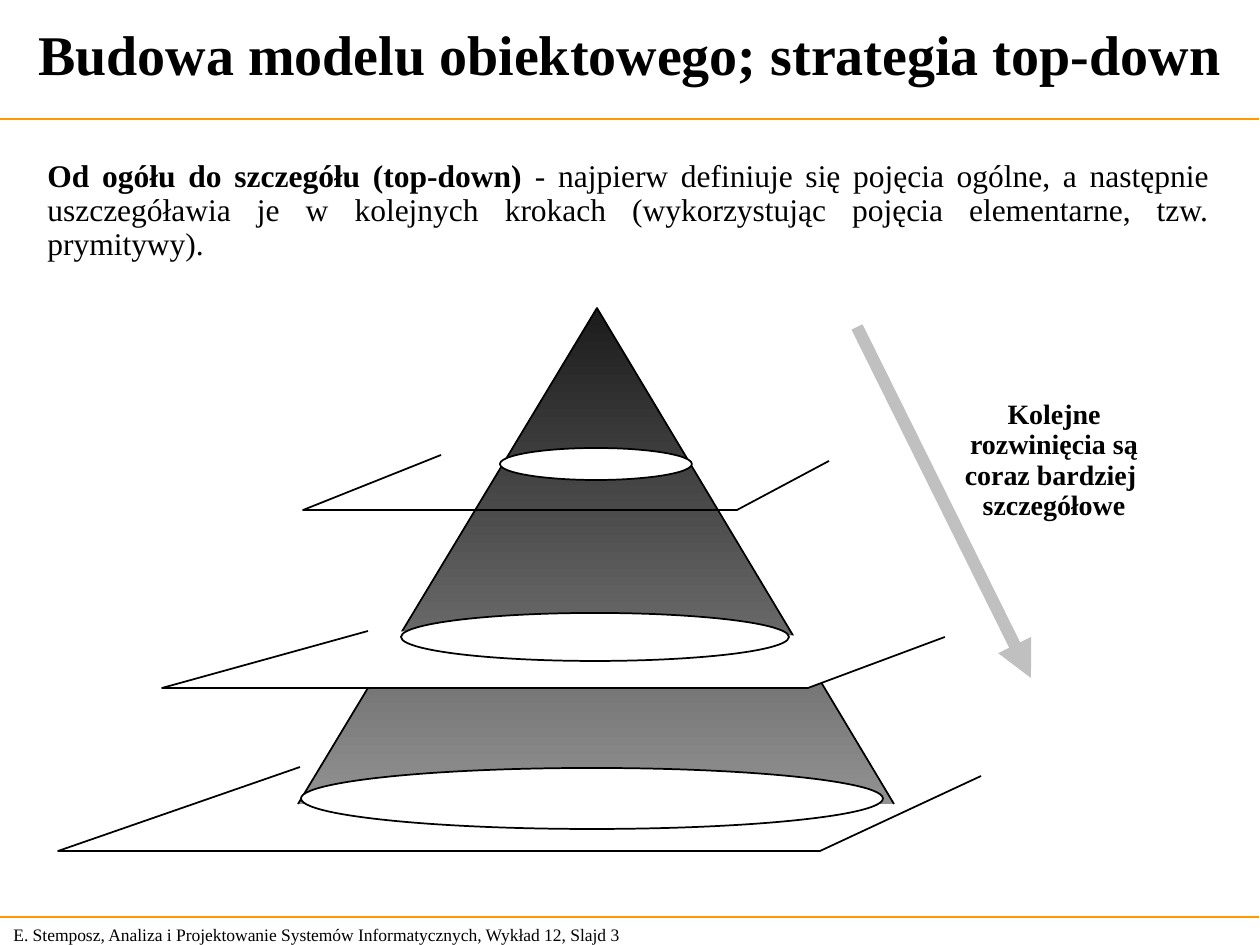
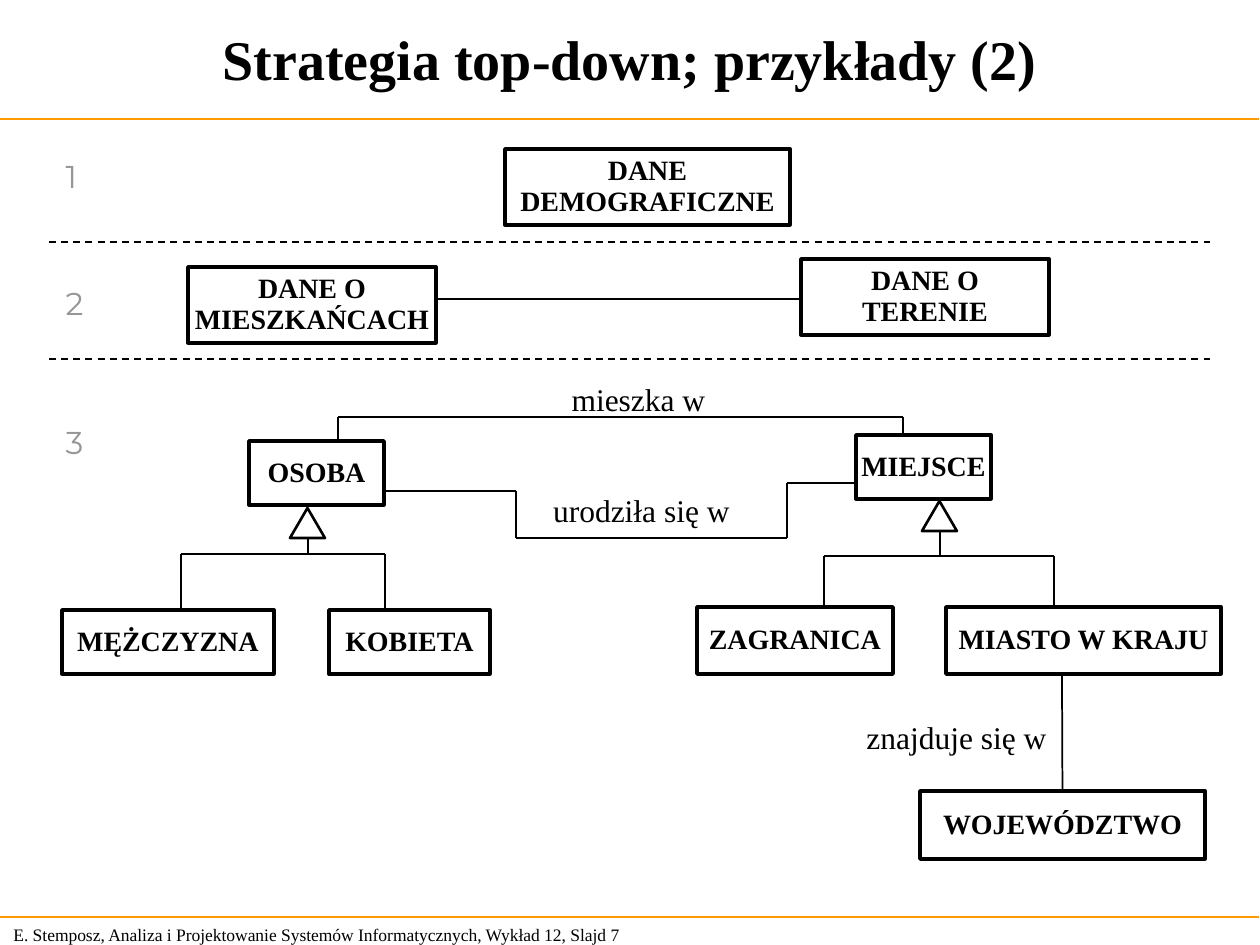
from typing import NamedTuple

from lxml import etree
from pptx import Presentation
from pptx.dml.color import RGBColor
from pptx.enum.dml import MSO_LINE
from pptx.enum.shapes import MSO_CONNECTOR, MSO_SHAPE
from pptx.enum.text import MSO_ANCHOR, MSO_AUTO_SIZE, PP_ALIGN
from pptx.oxml.ns import qn
from pptx.util import Pt

PX = 914400 / 126
WIDE, HIGH = 1260, 945

LEFT, CENTER, JUSTIFY = PP_ALIGN.LEFT, PP_ALIGN.CENTER, PP_ALIGN.JUSTIFY
TOP, MIDDLE = MSO_ANCHOR.TOP, MSO_ANCHOR.MIDDLE
RECT, OVAL = MSO_SHAPE.RECTANGLE, MSO_SHAPE.OVAL
DIAMOND, TRIANGLE = MSO_SHAPE.DIAMOND, MSO_SHAPE.ISOSCELES_TRIANGLE
STRAIGHT, DASH, NO_FIT = MSO_CONNECTOR.STRAIGHT, MSO_LINE.DASH, MSO_AUTO_SIZE.NONE

COLORS = {
    "ink": "000000",
    "paper": "FFFFFF",
    "rule": "FF9900",
    "arrow": "C0C0C0",
    "level": "969696",
    "tip": "1C1C1C",
    "base": "919191",
}


class Box(NamedTuple):
    x: int
    y: int
    w: int
    h: int


class Style(NamedTuple):
    size: int
    bold: bool = False
    align: PP_ALIGN = CENTER
    anchor: MSO_ANCHOR = MIDDLE
    space: float = 0.9
    font: str = "Times New Roman"
    color: str = "ink"
    wrap: bool = False


class Node(NamedTuple):
    text: str
    box: Box


class Plane(NamedTuple):
    points: list[tuple[int, int]]
    fill: str | None


TITLE = Style(32, bold=True, space=1, wrap=True)
FOOTER = Style(10, align=LEFT, space=1, wrap=True)
BODY = Style(18, bold=True, align=JUSTIFY, anchor=TOP, wrap=True)
LABEL = Style(16, bold=True)
LINK = Style(18)
LEVEL = Style(18, align=LEFT, anchor=TOP, space=1, font="Montserrat", color="level")

BOTTOM = Plane([(300, 767), (58, 851), (820, 851), (981, 776)], "paper")
CONE = [(298, 804), (597, 308), (894, 804)]
UPPER = [
    Plane([(368, 631), (162, 688), (808, 688), (945, 637)], "paper"),
    Plane([(441, 455), (303, 510), (737, 510), (829, 461)], None),
]
CUTS = [Box(301, 768, 582, 61), Box(401, 613, 388, 48), Box(500, 448, 192, 32)]

NODES = [
    Node("DANE\nDEMOGRAFICZNE", Box(505, 149, 285, 76)),
    Node("DANE O\nMIESZKAŃCACH", Box(188, 267, 248, 76)),
    Node("DANE O\nTERENIE", Box(801, 259, 248, 76)),
    Node("OSOBA", Box(249, 441, 135, 64)),
    Node("MIEJSCE", Box(856, 435, 135, 64)),
    Node("MĘŻCZYZNA", Box(62, 610, 212, 64)),
    Node("KOBIETA", Box(329, 610, 161, 64)),
    Node("ZAGRANICA", Box(697, 607, 196, 67)),
    Node("MIASTO W KRAJU", Box(946, 607, 275, 67)),
    Node("WOJEWÓDZTWO", Box(920, 791, 285, 68)),
]
NAMES = [
    Node("mieszka w", Box(559, 358, 159, 86)),
    Node("urodziła się w", Box(562, 469, 159, 86)),
]
ROUTES = [
    [(799, 299), (437, 299)],
    [(338, 440), (338, 417), (903, 417), (903, 434)],
    [(384, 491), (516, 491), (516, 538), (787, 538), (787, 483), (856, 483)],
    [(181, 609), (181, 554), (385, 554), (385, 610)],
    [(308, 554), (308, 508)],
    [(824, 607), (824, 556), (1054, 556), (1054, 607)],
    [(940, 556), (940, 498)],
]
HEADS = [Box(290, 508, 35, 30), Box(922, 501, 35, 30)]
LEVELS = [151, 278, 417]
DIVIDERS = [242, 359]


def emu(*sizes: int) -> list[int]:
    return [round(size * PX) for size in sizes]


def paint(name: str) -> RGBColor:
    return RGBColor.from_string(COLORS[name])


def stroke(line, color: str = "ink", width: float = 1) -> None:
    line.color.rgb = paint(color)
    line.width = Pt(width)


def format_run(run, style: Style) -> None:
    font = run.font
    font.size, font.bold, font.name = Pt(style.size), style.bold, style.font
    font.color.rgb = paint(style.color)


def write(shape, text: str, style: Style):
    frame = shape.text_frame
    frame.text = text
    frame.auto_size = NO_FIT
    frame.word_wrap = style.wrap
    frame.vertical_anchor = style.anchor
    for para in frame.paragraphs:
        para.alignment, para.line_spacing = style.align, style.space
        for run in para.runs:
            format_run(run, style)
    return shape


def add_text(slide, text: str, box: Box, style: Style):
    return write(slide.shapes.add_textbox(*emu(*box)), text, style)


def add_form(slide, kind, box: Box, fill: str | None = None, width: float = 0):
    """Add a preset shape; no fill name or no width leaves that part out."""
    shape = slide.shapes.add_shape(kind, *emu(*box))
    finish(shape, fill, width)
    return shape


def finish(shape, fill: str | None, width: float) -> None:
    shape.shadow.inherit = False
    if fill:
        shape.fill.solid()
        shape.fill.fore_color.rgb = paint(fill)
    else:
        shape.fill.background()
    if width:
        stroke(shape.line, width=width)
    else:
        shape.line.fill.background()


def add_path(slide, points: list[tuple[int, int]], fill: str | None):
    pen = slide.shapes.build_freeform(*points[0], scale=PX)
    pen.add_line_segments(points[1:], close=False)
    shape = pen.convert_to_shape()
    finish(shape, fill, 1)
    return shape


def add_line(slide, start, end, color: str = "ink", width: float = 1):
    line = slide.shapes.add_connector(STRAIGHT, *emu(*start, *end))
    stroke(line.line, color, width)
    etree.SubElement(line._element.spPr, qn("a:effectLst"))
    return line


def add_slide(deck, title: str, top: int, number: int):
    """Start a slide with its title, the two rules and the footer."""
    slide = deck.slides.add_slide(deck.slide_layouts[5])
    head = slide.shapes.title
    head.left, head.top, head.width, head.height = emu(5, top, 1250, 107)
    write(head, title, TITLE)
    for y in (119, 917):
        add_line(slide, (-1, y), (1259, y), "rule", 0.75)
    footer = ("E. Stemposz, Analiza i Projektowanie Systemów Informatycznych, "
              f"Wykład 12, Slajd {number}")
    add_text(slide, footer, Box(1, 917, 660, 34), FOOTER)
    return slide


def draw_cone(deck) -> None:
    slide = add_slide(deck, "Budowa modelu obiektowego; strategia top-down", 0, 3)
    add_path(slide, *BOTTOM)
    fill = add_path(slide, CONE, "base").fill
    fill.gradient()
    fill.gradient_angle = 270
    for stop, name in zip(fill.gradient_stops, ("tip", "base")):
        stop.color.rgb = paint(name)
    for plane in UPPER:
        add_path(slide, *plane)
    for cut in CUTS:
        add_form(slide, OVAL, cut, "paper", 1)

    arrow = add_line(slide, (857, 327), (1031, 678), "arrow", 7)
    etree.SubElement(arrow.line._get_or_add_ln(), qn("a:tailEnd"), type="triangle")
    add_text(slide, "Kolejne\nrozwinięcia są\ncoraz bardziej \nszczegółowe",
             Box(950, 397, 208, 128), LABEL)
    body = add_text(slide, "Od ogółu do szczegółu (top-down)",
                    Box(35, 154, 1187, 115), BODY)
    rest = body.text_frame.paragraphs[0].add_run()
    rest.text = (" - najpierw definiuje się pojęcia ogólne, a następnie "
                 "uszczegóławia je w kolejnych krokach (wykorzystując pojęcia "
                 "elementarne, tzw. prymitywy).")
    format_run(rest, BODY._replace(bold=False))


def draw_model(deck) -> None:
    slide = add_slide(deck, "Strategia top-down; przykłady (2)", 5, 7)
    shapes = {}
    for node in NODES:
        shape = add_form(slide, RECT, node.box, width=2)
        shapes[node.text] = write(shape, node.text, LABEL)
    for name in NAMES:
        write(add_form(slide, DIAMOND, name.box), name.text, LINK)
    for y in DIVIDERS:
        add_line(slide, (49, y), (1213, y)).line.dash_style = DASH
    for route in ROUTES:
        for start, end in zip(route, route[1:]):
            add_line(slide, start, end)
    add_line(slide, (1062, 675), (1062, 791)).end_connect(shapes["WOJEWÓDZTWO"], 0)
    add_text(slide, "znajduje się w", Box(854, 716, 205, 47), LINK)
    for head in HEADS:
        add_form(slide, TRIANGLE, head, "paper", 1.5)
    for number, y in enumerate(LEVELS, 1):
        add_text(slide, str(number), Box(57, y, 21, 43), LEVEL)


def main() -> None:
    deck = Presentation()
    deck.slide_width, deck.slide_height = emu(WIDE, HIGH)
    draw_cone(deck)
    draw_model(deck)
    deck.save("out.pptx")


if __name__ == "__main__":
    main()
